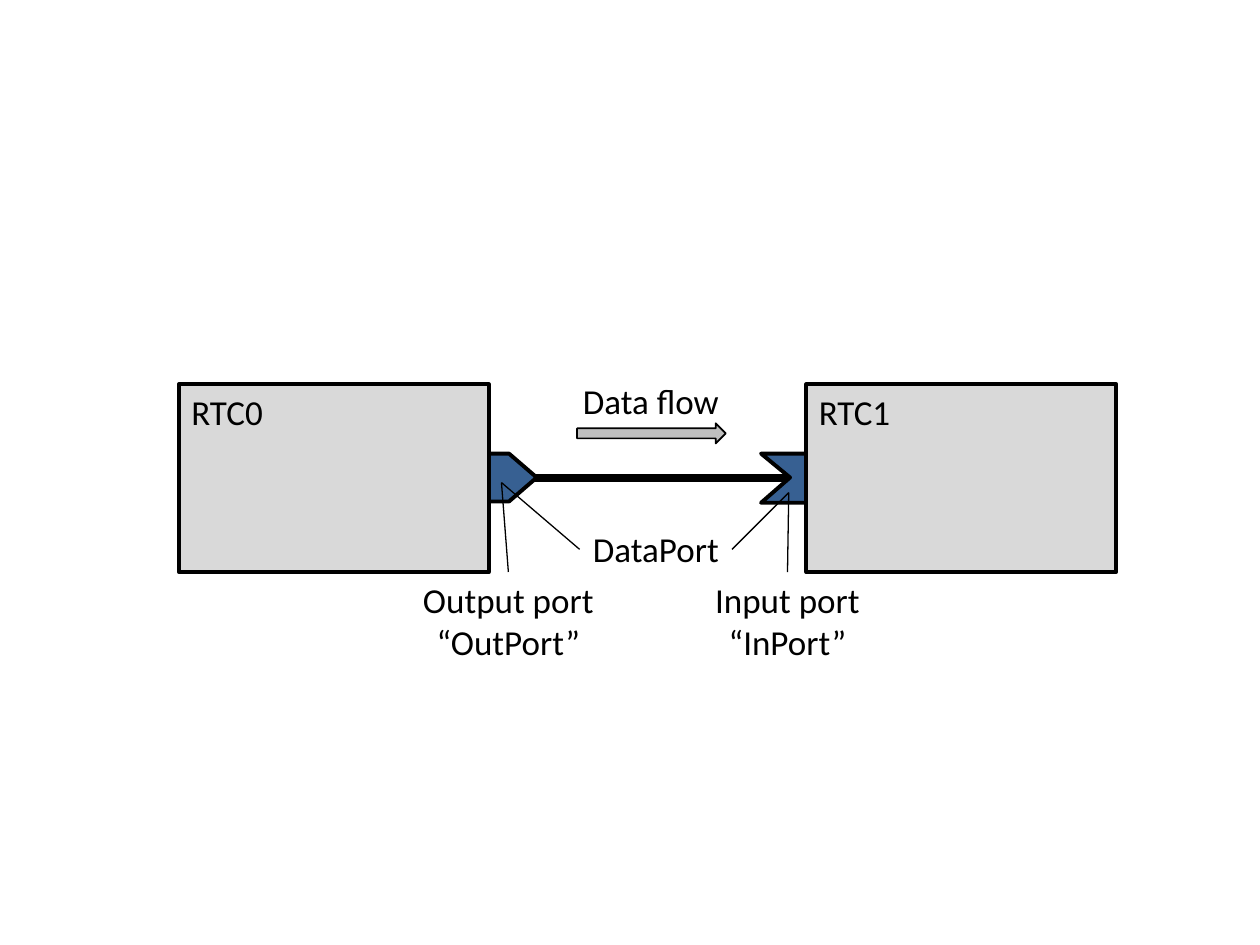
from dataclasses import dataclass

from lxml import etree
from pptx import Presentation
from pptx.dml.color import RGBColor
from pptx.enum.shapes import MSO_CONNECTOR, MSO_SHAPE
from pptx.enum.text import MSO_ANCHOR, MSO_AUTO_SIZE, PP_ALIGN
from pptx.oxml.ns import qn
from pptx.util import Pt

PX = 9144  # EMU per px, 100 px to the inch
RECTANGLE, RIGHT_ARROW = MSO_SHAPE.RECTANGLE, MSO_SHAPE.RIGHT_ARROW
STRAIGHT = MSO_CONNECTOR.STRAIGHT
LEFT_ALIGN, CENTER = PP_ALIGN.LEFT, PP_ALIGN.CENTER
TOP_ANCHOR = MSO_ANCHOR.TOP
GROW = MSO_AUTO_SIZE.SHAPE_TO_FIT_TEXT
TOP, LEFT, RIGHT = 0, 1, 3  # connection sites of a rectangle


@dataclass(frozen=True)
class Theme:
    font: str = "Calibri"
    text_size: float = 20
    ink: str = "000000"
    component: str = "D9D9D9"
    port: str = "376092"
    arrow: str = "BFBFBF"
    flow_line: float = 4.5
    outline: float = 2.25
    arrow_line: float = 1
    callout_line: float = 0.75


class Diagram:
    def __init__(self, slide, theme):
        self.slide = slide
        self.theme = theme

    def _line(self, line, width):
        line.color.rgb = RGBColor.from_string(self.theme.ink)
        line.width = Pt(width)

    def _paint(self, shape, fill, width):
        shape.shadow.inherit = False
        shape.fill.solid()
        shape.fill.fore_color.rgb = RGBColor.from_string(fill)
        self._line(shape.line, width)

    def _write(self, frame, lines, align):
        for index, text in enumerate(lines):
            paragraph = frame.paragraphs[0] if index == 0 else frame.add_paragraph()
            paragraph.alignment = align
            run = paragraph.add_run()
            run.text = text
            run.font.name = self.theme.font
            run.font.size = Pt(self.theme.text_size)
            run.font.color.rgb = RGBColor.from_string(self.theme.ink)

    def shape(self, kind, box, fill, width):
        shape = self.slide.shapes.add_shape(kind, *(n * PX for n in box))
        self._paint(shape, fill, width)
        return shape

    def component(self, name, box):
        shape = self.shape(RECTANGLE, box, self.theme.component, self.theme.outline)
        shape.text_frame.vertical_anchor = TOP_ANCHOR
        self._write(shape.text_frame, [name], LEFT_ALIGN)
        return shape

    def port(self, points):
        builder = self.slide.shapes.build_freeform(*points[0], scale=PX)
        builder.add_line_segments(points[1:], close=True)
        self._paint(builder.convert_to_shape(), self.theme.port, self.theme.outline)

    def label(self, lines, box):
        text_box = self.slide.shapes.add_textbox(*(n * PX for n in box))
        text_box.text_frame.word_wrap = False
        text_box.text_frame.auto_size = GROW
        self._write(text_box.text_frame, lines, CENTER)
        return text_box

    def line(self, start, end, width):
        connector = self.slide.shapes.add_connector(
            STRAIGHT, *(n * PX for n in (*start, *end)))
        self._line(connector.line, width)
        etree.SubElement(connector._element.spPr, qn("a:effectLst"))
        return connector

    def callout(self, label, site, target):
        connector = self.line(target, target, self.theme.callout_line)
        connector.begin_connect(label, site)


def main():
    presentation = Presentation()
    presentation.slide_width, presentation.slide_height = 1000 * PX, 750 * PX
    slide = presentation.slides.add_slide(presentation.slide_layouts[6])
    theme = Theme()
    diagram = Diagram(slide, theme)

    # Data connection, behind the ports
    flow = diagram.line((388, 379), (640, 379), theme.flow_line)

    # Input and output ports
    diagram.port([(604, 360), (642, 360), (642, 399), (604, 399), (627, 379)])
    diagram.port([(388, 398), (404, 398), (426, 379), (404, 360), (388, 360)])

    # Components, joined by the data connection
    source, sink = (diagram.component(name, (left, 305, 246, 149))
                    for name, left in (("RTC0", 142), ("RTC1", 640)))
    flow.begin_connect(source, RIGHT)
    flow.end_connect(sink, LEFT)

    # Labels
    output_label = diagram.label(["Output port", "“OutPort”"], (325, 454, 157, 77))
    input_label = diagram.label(["Input port", "“InPort”"], (557, 454, 136, 77))
    data_label = diagram.label(["DataPort"], (460, 414, 121, 44))
    diagram.label(["Data flow"], (452, 296, 129, 44))

    # Flow direction
    diagram.shape(RIGHT_ARROW, (458, 336, 118, 16), theme.arrow, theme.arrow_line)

    # Callout lines from labels to ports
    output_point, input_point = (398, 383), (626, 391)
    diagram.callout(output_label, TOP, output_point)
    diagram.callout(input_label, TOP, input_point)
    diagram.callout(data_label, LEFT, output_point)
    diagram.callout(data_label, RIGHT, input_point)

    presentation.save("out.pptx")


if __name__ == "__main__":
    main()
